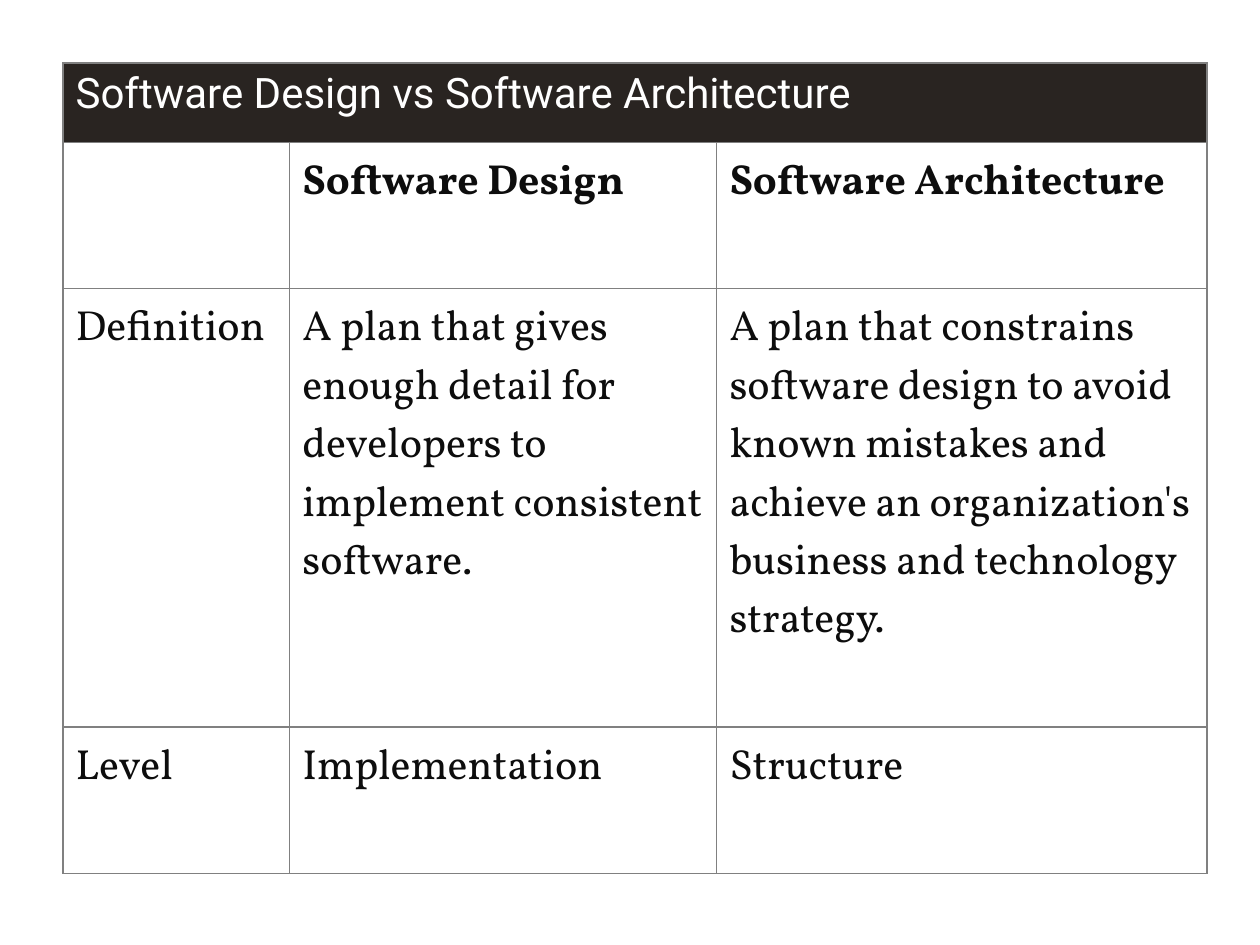
import pptx
import pptx.util
import pptx.dml.color
from lxml import etree
from pptx.oxml.ns import qn

Inches, Pt = pptx.util.Inches, pptx.util.Pt
RGB = pptx.dml.color.RGBColor

# Content
TITLE = "Software Design vs Software Architecture"
ROWS = [
    (TITLE, "", ""),
    ("", "Software Design", "Software Architecture"),
    ("Definition",
     "A plan that gives enough detail for developers to implement consistent software.",
     "A plan that constrains software design to avoid known mistakes and achieve "
     "an organization's business and technology strategy."),
    ("Level", "Implementation", "Structure"),
]

# Layout and colours
LEFT = TOP = 0.5
WIDTHS = [1.8, 3.39, 3.89]
HEIGHTS = [0.63, 1.16, 3.48, 1.16]
DARK = RGB(0x29, 0x24, 0x21)
INK = RGB(0x0D, 0x0D, 0x0D)
WHITE = RGB(0xFF, 0xFF, 0xFF)
GREY = RGB(0x80, 0x80, 0x80)


def add_border(cell):
    props = cell._tc.get_or_add_tcPr()
    for side in ("lnL", "lnR", "lnT", "lnB"):
        line = etree.SubElement(props, qn("a:" + side), w=str(Pt(0.75)))
        fill = etree.SubElement(line, qn("a:solidFill"))
        etree.SubElement(fill, qn("a:srgbClr"), val=str(GREY))


def style_cell(cell, text, row):
    head = row == 0
    add_border(cell)
    cell.fill.solid()
    cell.fill.fore_color.rgb = DARK if head else WHITE
    cell.margin_left = cell.margin_right = Inches(0.1)
    cell.margin_top = Inches(0.05 if head else 0.1)
    cell.margin_bottom = Inches(0.05 if head else 0.34)
    cell.text = text
    font = cell.text_frame.paragraphs[0].font
    font.name = "Roboto" if head else "Vollkorn"
    font.size = Pt(24)
    font.bold = row == 1
    font.color.rgb = WHITE if head else INK


def main():
    deck = pptx.Presentation()
    deck.slide_width, deck.slide_height = Inches(10), Inches(7.5)
    slide = deck.slides.add_slide(deck.slide_layouts[6])

    # Comparison table
    table = slide.shapes.add_table(
        len(ROWS), len(WIDTHS), Inches(LEFT), Inches(TOP),
        Inches(sum(WIDTHS)), Inches(sum(HEIGHTS))).table
    for col, width in zip(table.columns, WIDTHS):
        col.width = Inches(width)
    for row, height in zip(table.rows, HEIGHTS):
        row.height = Inches(height)
    for r, texts in enumerate(ROWS):
        for c, text in enumerate(texts):
            style_cell(table.cell(r, c), text, r)

    # Title row spans all columns
    table.cell(0, 0).merge(table.cell(0, len(WIDTHS) - 1))
    deck.save("out.pptx")


if __name__ == "__main__":
    main()
